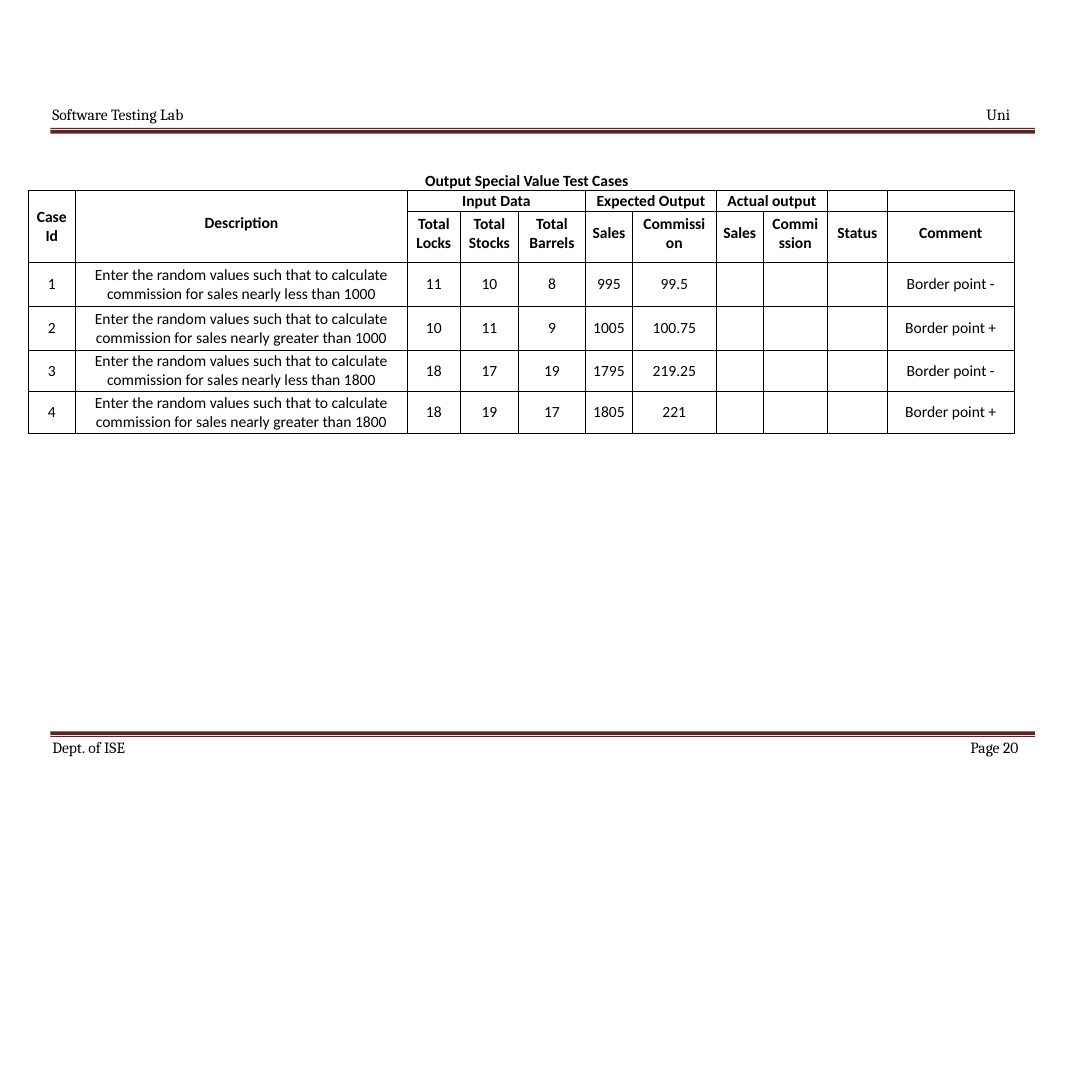
import pptx
import pptx.dml.color
import pptx.enum.text
import pptx.oxml
import pptx.oxml.ns
import pptx.util

SCALE = 9144
BODY_FONT = "Calibri"
PAGE_FONT = "Cambria"
BLACK = "000000"
MAROON = "612322"
CENTER = pptx.enum.text.PP_ALIGN.CENTER
LEFT = pptx.enum.text.PP_ALIGN.LEFT


def px(n):
    return pptx.util.Emu(n * SCALE)


def color(hex_value):
    return pptx.dml.color.RGBColor.from_string(hex_value)


class Page:
    def __init__(self, prs):
        self.slide = prs.slides.add_slide(prs.slide_layouts[5])
        self.shapes = self.slide.shapes
        self.size = pptx.util.Pt(12)

    def run(self, p, text, font, bold=False):
        r = p.add_run()
        r.text = text
        r.font.name = font
        r.font.size = self.size
        r.font.bold = bold
        r.font.color.rgb = color(BLACK)

    def fill_text(self, sp, box, text, font, bold=False):
        sp.left, sp.top, sp.width, sp.height = map(px, box)
        tf = sp.text_frame
        tf.word_wrap = False
        tf.auto_size = pptx.enum.text.MSO_AUTO_SIZE.NONE
        tf.vertical_anchor = pptx.enum.text.MSO_ANCHOR.TOP
        tf.margin_left = tf.margin_top = px(1)
        tf.margin_right = tf.margin_bottom = 0
        p = tf.paragraphs[0]
        p.alignment = LEFT
        self.run(p, text, font, bold)

    def title(self, box, text):
        self.fill_text(self.shapes.title, box, text, BODY_FONT, True)

    def label(self, box, text):
        sp = self.shapes.add_textbox(*map(px, box))
        self.fill_text(sp, box, text, PAGE_FONT)

    def double_rule(self, left, right, bands):
        (top, bottom), second = bands
        fb = self.shapes.build_freeform(left, top, scale=SCALE)
        fb.add_line_segments([(right, top), (right, bottom), (left, bottom)])
        top, bottom = second
        fb.move_to(left, top)
        fb.add_line_segments([(right, top), (right, bottom), (left, bottom)])
        sp = fb.convert_to_shape()
        sp.shadow.inherit = False
        sp.fill.solid()
        sp.fill.fore_color.rgb = color(MAROON)
        sp.line.fill.background()

    def borders(self, cell):
        tc_pr = cell._tc.get_or_add_tcPr()
        for side in ("lnL", "lnR", "lnT", "lnB"):
            tc_pr.append(pptx.oxml.parse_xml(
                f'<a:{side} {pptx.oxml.ns.nsdecls("a")} w="6350"><a:solidFill>'
                f'<a:srgbClr val="{BLACK}"/></a:solidFill></a:{side}>'))

    def cell(self, cell, text, bold, bottom):
        self.borders(cell)
        cell.fill.background()
        cell.margin_left = cell.margin_right = px(5)
        cell.margin_top = 0
        cell.margin_bottom = px(bottom)
        cell.vertical_anchor = pptx.enum.text.MSO_ANCHOR.MIDDLE
        p = cell.text_frame.paragraphs[0]
        p.alignment = CENTER
        if text:
            self.run(p, text, BODY_FONT, bold)
        else:
            end = pptx.oxml.parse_xml(
                f'<a:endParaRPr {pptx.oxml.ns.nsdecls("a")} sz="1200"/>')
            p._p.append(end)

    def table(self, left, top, widths, heights, rows, merges):
        box = map(px, (left, top, sum(widths), sum(heights)))
        tbl = self.shapes.add_table(len(heights), len(widths), *box).table
        tbl.first_row = tbl.horz_banding = False
        for col, width in zip(tbl.columns, widths):
            col.width = px(width)
        for row, height in zip(tbl.rows, heights):
            row.height = px(height)
        for first, last in merges:
            tbl.cell(*first).merge(tbl.cell(*last))
        for i, row in enumerate(rows):
            for j, text in enumerate(row):
                raised = i == 1 or (i, j) == (0, 1)
                self.cell(tbl.cell(i, j), text, i < 2, 7 if raised else 0)


def test_case(number, side, sales, locks, stocks, barrels, sold, commission, sign):
    text = ("Enter the random values such that to calculate commission "
            f"for sales nearly {side} than {sales}")
    return [number, text, locks, stocks, barrels, sold, commission,
            "", "", "", f"Border point {sign}"]


HEADINGS = [
    ["Case Id", "Description", "Input Data", "", "", "Expected Output", "",
     "Actual output", "", "", ""],
    ["", "", "Total Locks", "Total Stocks", "Total Barrels", "Sales",
     "Commissi on", "Sales", "Commi ssion", "Status", "Comment"],
]
CASES = [
    ("1", "less", "1000", "11", "10", "8", "995", "99.5", "-"),
    ("2", "greater", "1000", "10", "11", "9", "1005", "100.75", "+"),
    ("3", "less", "1800", "18", "17", "19", "1795", "219.25", "-"),
    ("4", "greater", "1800", "18", "19", "17", "1805", "221", "+"),
]
COLUMN_WIDTHS = [51, 355, 57, 62, 72, 50, 90, 50, 69, 64, 136]
ROW_HEIGHTS = [22, 55, 47, 47, 44, 45]
MERGES = [((0, 0), (1, 0)), ((0, 1), (1, 1)), ((0, 2), (0, 4)),
          ((0, 5), (0, 6)), ((0, 7), (0, 8))]


def main():
    prs = pptx.Presentation()
    prs.slide_width = prs.slide_height = px(1169)
    s = Page(prs)
    s.label((55, 111, 153, 23), "Software Testing Lab")
    s.label((1055, 111, 32, 23), "Uni")
    s.double_rule(54, 1108, [(139, 143), (137, 138)])
    s.double_rule(54, 1108, [(788, 789), (783, 787)])
    s.title((454, 182, 223, 23), "Output Special Value Test Cases")
    s.label((55, 789, 85, 22), "Dept. of ISE")
    s.label((1038, 789, 63, 22), "Page 20")
    rows = HEADINGS + [test_case(*case) for case in CASES]
    s.table(30, 204, COLUMN_WIDTHS, ROW_HEIGHTS, rows, MERGES)
    prs.save("out.pptx")


if __name__ == "__main__":
    main()
